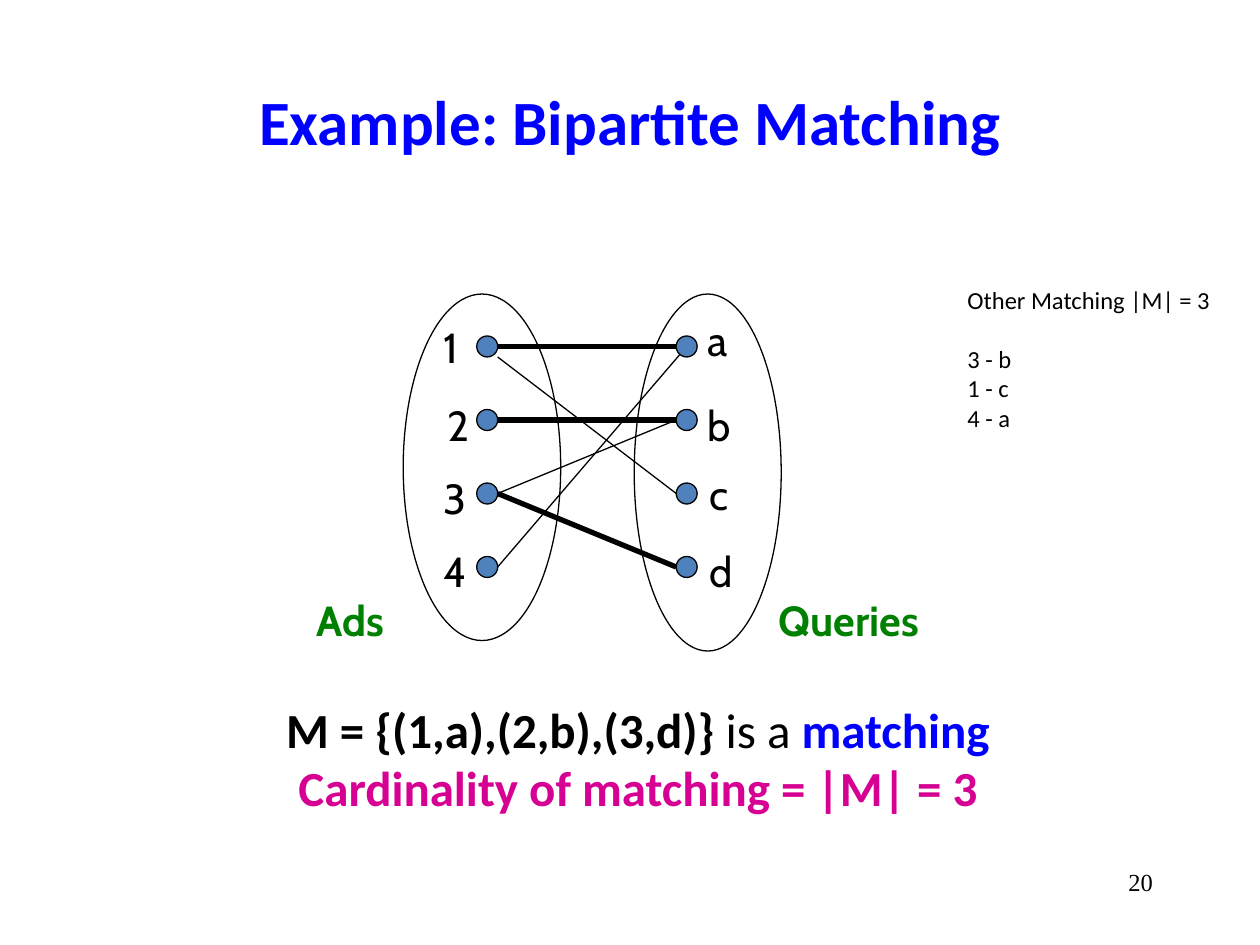
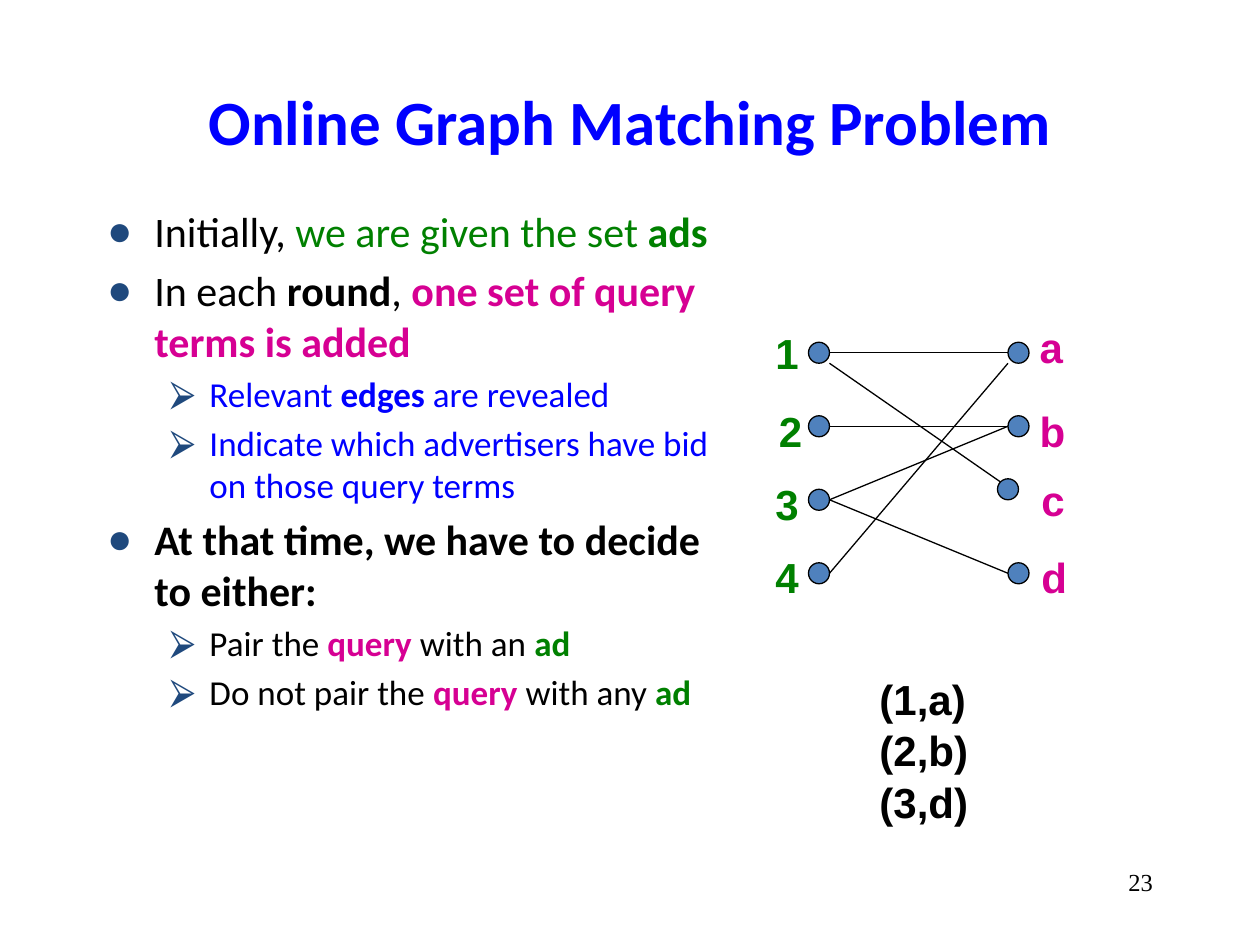
from dataclasses import dataclass, field
from typing import NamedTuple

from lxml.etree import SubElement
from pptx import Presentation
from pptx.dml.color import RGBColor
from pptx.enum.shapes import MSO_CONNECTOR, MSO_SHAPE
from pptx.enum.text import MSO_ANCHOR, MSO_AUTO_SIZE, PP_ALIGN
from pptx.oxml.ns import qn
from pptx.slide import Slide
from pptx.text.text import TextFrame
from pptx.util import Pt

COLORS = {
    "black": "000000",
    "blue": "0000FF",
    "green": "008000",
    "magenta": "D60093",
    "node": "4F81BD",
    "bullet": "1F497D",
}

# Graph layout shared by both slides
ROW_GAP = 42
COLUMN_GAP = 114
RADIUS = 6
AD_LABELS = [("1", -32, -18), ("2", -30, -15.5), ("3", -32, -15.5), ("4", -32, -15.75)]
QUERY_LABELS = [("a", 5, -21.6), ("b", 5, -15.5), ("c", 6, -17.75), ("d", 6, -15.75)]


class Box(NamedTuple):
    left: float
    top: float
    width: float
    height: float


class Run(NamedTuple):
    text: str
    color: str = "black"
    bold: bool = False


@dataclass
class Para:
    runs: list[Run]
    size: float
    font: str = "Calibri"
    align: PP_ALIGN = PP_ALIGN.LEFT
    before: float = 0
    level: int | None = None


class Edge(NamedTuple):
    """Joins an ad row to a query row; the ends may be nudged."""
    ad: int
    query: int
    width: float = 0.75
    start_dy: float = 0
    end_dx: float = 0
    end_dy: float = 0


@dataclass
class Graph:
    left: float
    top: float
    edges: list[Edge]
    font: str
    ad_color: str = "black"
    query_color: str = "black"
    bold: bool = False
    node_shift: dict[int, float] = field(default_factory=dict)


class BulletStyle(NamedTuple):
    char: str
    margin: float
    indent: float


BULLETS = [BulletStyle("●", 27, -27), BulletStyle("⮚", 58.5, -22.5)]

TITLE_BOX = Box(54, 24, 612, 90)
NUMBER_BOX = Box(516, 492, 150, 36)


def rgb(name: str) -> RGBColor:
    return RGBColor.from_string(COLORS[name])


def points(box: Box) -> list[int]:
    return [Pt(value) for value in box]


def write(frame: TextFrame, paras: list[Para]) -> None:
    frame.word_wrap = True
    frame.auto_size = MSO_AUTO_SIZE.NONE
    for index, item in enumerate(paras):
        para = frame.paragraphs[0] if index == 0 else frame.add_paragraph()
        para.alignment = item.align
        para.space_before = Pt(item.before)
        if item.level is not None:
            para.level = item.level
            style = BULLETS[item.level]
            props = para._p.get_or_add_pPr()
            props.set("marL", str(Pt(style.margin)))
            props.set("indent", str(Pt(style.indent)))
            color = SubElement(props, qn("a:buClr"))
            SubElement(color, qn("a:srgbClr")).set("val", COLORS["bullet"])
            SubElement(props, qn("a:buFont")).set("typeface", "Arial")
            SubElement(props, qn("a:buChar")).set("char", style.char)
        for part in item.runs:
            run = para.add_run()
            run.text = part.text
            run.font.name = item.font
            run.font.size = Pt(item.size)
            run.font.bold = part.bold
            run.font.color.rgb = rgb(part.color)


def add_text(slide: Slide, box: Box, paras: list[Para]) -> TextFrame:
    frame = slide.shapes.add_textbox(*points(box)).text_frame
    write(frame, paras)
    return frame


def add_ellipse(slide: Slide, box: Box, fill: str | None = None) -> None:
    ellipse = slide.shapes.add_shape(MSO_SHAPE.OVAL, *points(box))
    ellipse.shadow.inherit = False
    if fill:
        ellipse.fill.solid()
        ellipse.fill.fore_color.rgb = rgb(fill)
    else:
        ellipse.fill.background()
    ellipse.line.color.rgb = rgb("black")
    ellipse.line.width = Pt(0.75)


def add_edge(slide: Slide, ends: Box, width: float) -> None:
    """The four values of ends are the start and end points."""
    edge = slide.shapes.add_connector(MSO_CONNECTOR.STRAIGHT, *points(ends))
    edge.line.color.rgb = rgb("black")
    edge.line.width = Pt(width)
    SubElement(edge._element.spPr, qn("a:effectLst"))


def add_graph(slide: Slide, graph: Graph) -> None:
    """left and top give the centre of the first ad node."""
    for edge in graph.edges:
        add_edge(slide, Box(
            graph.left + RADIUS,
            graph.top + edge.ad * ROW_GAP + edge.start_dy,
            graph.left + COLUMN_GAP - RADIUS + edge.end_dx,
            graph.top + edge.query * ROW_GAP + edge.end_dy,
        ), edge.width)
    columns = [
        (graph.left, AD_LABELS, graph.ad_color, {}),
        (graph.left + COLUMN_GAP, QUERY_LABELS, graph.query_color, graph.node_shift),
    ]
    for x, labels, color, shifts in columns:
        for row, (label, dx, dy) in enumerate(labels):
            y = graph.top + row * ROW_GAP
            shift = shifts.get(row, 0) - RADIUS
            add_ellipse(slide, Box(x + shift, y + shift, 2 * RADIUS, 2 * RADIUS), "node")
            add_text(slide, Box(x + dx, y + dy, 26, 29),
                     [Para([Run(label, color, graph.bold)], 24, graph.font)])


def add_slide(deck: Presentation, layout: int, title: str, number: str) -> Slide:
    slide = deck.slides.add_slide(deck.slide_layouts[layout])
    heading = slide.shapes.title
    heading.left, heading.top, heading.width, heading.height = points(TITLE_BOX)
    heading.text_frame.vertical_anchor = MSO_ANCHOR.MIDDLE
    write(heading.text_frame, [Para([Run(title, "blue", True)], 36, align=PP_ALIGN.CENTER)])
    add_text(slide, NUMBER_BOX,
             [Para([Run(number)], 14, "Times New Roman", PP_ALIGN.RIGHT)])
    return slide


def build_bipartite(deck: Presentation) -> None:
    slide = add_slide(deck, 5, "Example: Bipartite Matching", "20")

    # Conclusion
    add_text(slide, Box(150, 396, 429, 75), [
        Para([Run("M = {(1,a),(2,b),(3,d)}", bold=True), Run(" is a "),
              Run("matching", "blue", True)], 28, align=PP_ALIGN.CENTER),
        Para([Run("Cardinality of matching = |M| = 3", "magenta", True)],
             28, align=PP_ALIGN.CENTER),
    ])

    # Graph with the matched edges in bold
    add_graph(slide, Graph(278.4, 198, [
        Edge(0, 0, 3), Edge(0, 2, start_dy=RADIUS), Edge(1, 1, 3),
        Edge(2, 1), Edge(2, 3, 3), Edge(3, 0, end_dx=RADIUS),
    ], "Cabin"))

    # The two node sets
    add_ellipse(slide, Box(230.4, 168, 90, 198))
    add_ellipse(slide, Box(362.4, 168, 84, 204))
    for name, left, width in [("Queries", 438, 108), ("Ads", 174, 60)]:
        add_text(slide, Box(left, 336, width, 36),
                 [Para([Run(name, "green", True)], 24, "Cabin")])

    # Alternative matching
    other = add_text(slide, Box(545.75, 155.5, 219, 150), [
        Para([Run("Other Matching |M| = 3")], 14),
        Para([Run("3 - b")], 14, before=17),
        Para([Run("1 - c")], 14),
        Para([Run("4 - a")], 14),
    ])
    other.margin_top = other.margin_bottom = Pt(7.2)


def build_online(deck: Presentation) -> None:
    slide = add_slide(deck, 1, "Online Graph Matching Problem", "23")

    # Bulleted list
    body = slide.placeholders[1]
    body.left, body.top, body.width, body.height = points(Box(54, 114, 359.25, 366))
    query, ad = Run("query ", "magenta", True), Run("ad", "green", True)
    items = [
        (0, [Run("Initially, "), Run("we are given the set", "green"),
             Run(" ads", "green", True)]),
        (0, [Run("In each "), Run("round", bold=True), Run(", "),
             Run("one set of query terms is added", "magenta", True)]),
        (1, [Run("Relevant ", "blue"), Run("edges", "blue", True),
             Run(" are revealed", "blue")]),
        (1, [Run("Indicate which advertisers have bid on those query terms", "blue")]),
        (0, [Run("At that time, we have to decide to either:", bold=True)]),
        (1, [Run("Pair the "), query, Run("with an "), ad]),
        (1, [Run("Do not pair the "), query, Run("with any "), ad]),
    ]
    sizes, gaps = (24, 20), (4.8, 4)
    write(body.text_frame, [
        Para(runs, sizes[level], before=gaps[level] if index else 0, level=level)
        for index, (level, runs) in enumerate(items)
    ])

    # Graph, with query c slightly off the grid
    add_graph(slide, Graph(468, 201.6, [
        Edge(0, 0), Edge(3, 0, end_dy=RADIUS), Edge(1, 1), Edge(2, 1),
        Edge(0, 2, start_dy=RADIUS, end_dx=-4, end_dy=-10), Edge(2, 3),
    ], "Arial", "green", "magenta", True, {2: -6}))

    # Chosen pairs
    for row, pair in enumerate(["(1,a)", "(2,b)", "(3,d)"]):
        add_text(slide, Box(495.5, 381.5 + row * 29.25, 72, 36),
                 [Para([Run(pair, bold=True)], 24, "Arial")])


def main() -> None:
    deck = Presentation()
    deck.slide_width, deck.slide_height = Pt(720), Pt(540)
    build_bipartite(deck)
    build_online(deck)
    deck.save("out.pptx")


if __name__ == "__main__":
    main()
